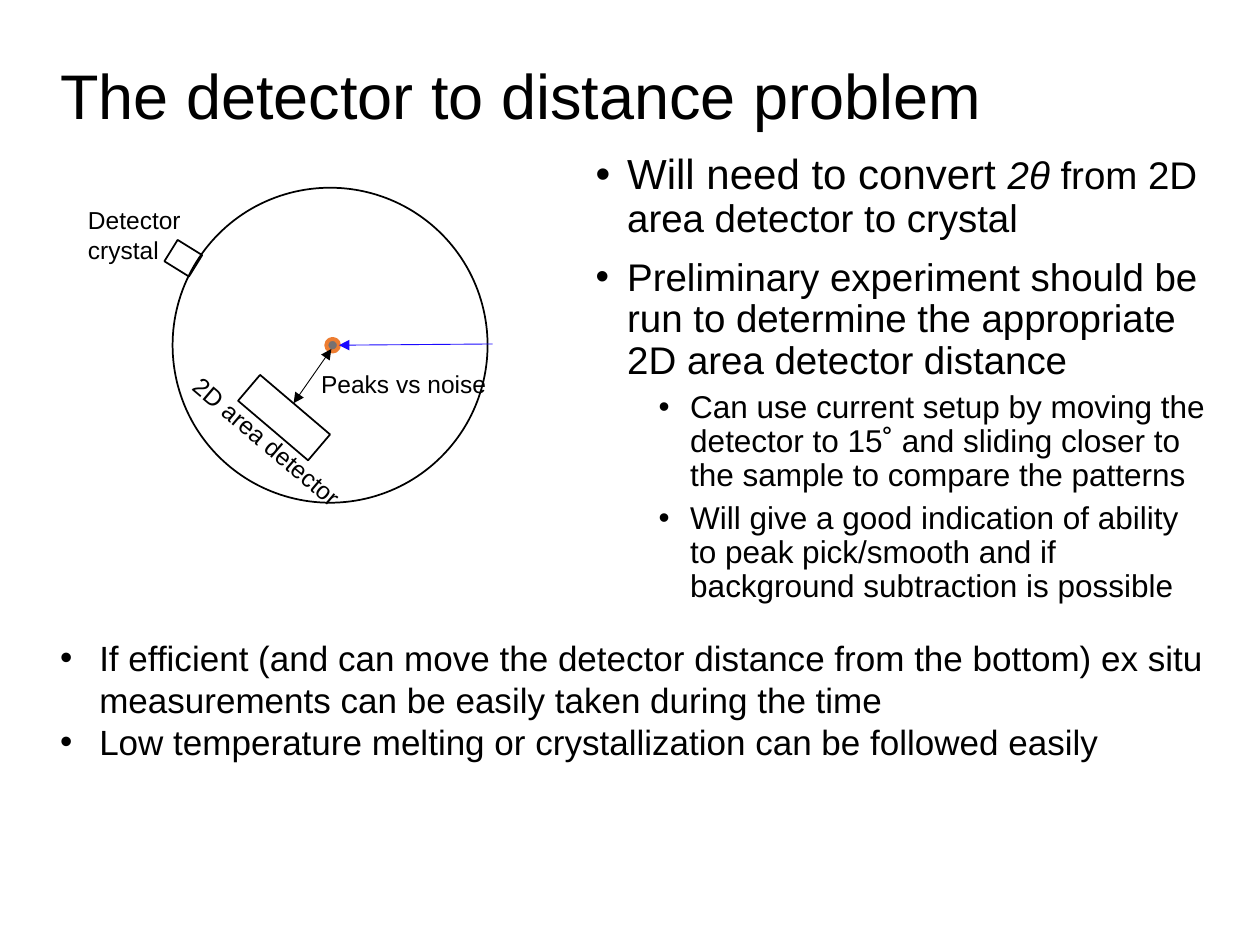
from dataclasses import dataclass
from typing import Optional

from lxml.etree import SubElement
from pptx import Presentation
from pptx.dml.color import RGBColor
from pptx.enum.shapes import MSO_CONNECTOR, MSO_SHAPE
from pptx.enum.text import MSO_ANCHOR, MSO_AUTO_SIZE, PP_ALIGN
from pptx.oxml.ns import qn
from pptx.util import Inches, Pt


@dataclass(frozen=True)
class Theme:
    font: str = "Arial"
    ink: RGBColor = RGBColor(0x00, 0x00, 0x00)
    beam: RGBColor = RGBColor(0x1B, 0x09, 0xFF)
    sample: RGBColor = RGBColor(0x76, 0x71, 0x71)
    sample_ring: RGBColor = RGBColor(0xED, 0x7D, 0x31)
    title: int = 36
    lead: int = 24
    body: int = 22
    note: int = 20
    sub: int = 18
    label: int = 14
    outline: float = 1
    ring: float = 2.25
    ray: float = 0.5


@dataclass(frozen=True)
class Box:
    left: float
    top: float
    width: float
    height: float
    rotation: float = 0

    def lengths(self):
        return [Inches(v) for v in (self.left, self.top, self.width, self.height)]


@dataclass(frozen=True)
class Run:
    text: str
    size: int
    italic: bool = False


@dataclass(frozen=True)
class Para:
    runs: tuple[Run, ...]
    margin: float = 0
    hanging: float = 0
    spacing: Optional[float] = None
    before: float = 0
    level: int = 0


T = Theme()


def point(text: str, size: int) -> Para:
    return Para((Run(text, size),), 0.25, 0.25, 0.9, 10)


def subpoint(text: str) -> Para:
    return Para((Run(text, T.sub),), 0.75, 0.25, 0.9, 5, 1)


def note(text: str) -> Para:
    return Para((Run(text, T.note),), 0.31, 0.31)


def label(text: str) -> Para:
    return Para((Run(text, T.label),))


def set_bullet(p, item: Para) -> None:
    pPr = p._p.get_or_add_pPr()
    pPr.set("marL", str(Inches(item.margin)))
    pPr.set("indent", str(-Inches(item.hanging)))
    SubElement(pPr, qn("a:buFont")).set("typeface", T.font)
    SubElement(pPr, qn("a:buChar")).set("char", "•")


def add_text(s, box: Box, paras: list[Para], wrap: bool = True,
             grow: bool = False, anchor=MSO_ANCHOR.TOP):
    sp = s.shapes.add_textbox(*box.lengths())
    sp.rotation = box.rotation
    tf = sp.text_frame
    tf.word_wrap = wrap
    tf.auto_size = MSO_AUTO_SIZE.SHAPE_TO_FIT_TEXT if grow else MSO_AUTO_SIZE.NONE
    tf.vertical_anchor = anchor
    for i, item in enumerate(paras):
        p = tf.add_paragraph() if i else tf.paragraphs[0]
        p.alignment = PP_ALIGN.LEFT
        p.level = item.level
        if item.spacing:
            p.line_spacing = item.spacing
        p.space_before = Pt(item.before)
        if item.hanging:
            set_bullet(p, item)
        for run in item.runs:
            r = p.add_run()
            r.text = run.text
            r.font.name = T.font
            r.font.size = Pt(run.size)
            r.font.italic = run.italic
            r.font.color.rgb = T.ink
    return sp


def add_outline(s, kind, box: Box, line=T.ink, weight: float = T.outline, fill=None):
    sp = s.shapes.add_shape(kind, *box.lengths())
    sp.rotation = box.rotation
    sp.shadow.inherit = False
    if fill is None:
        sp.fill.background()
    else:
        sp.fill.solid()
        sp.fill.fore_color.rgb = fill
    sp.line.color.rgb = line
    sp.line.width = Pt(weight)
    return sp


def add_arrow(s, start: tuple[float, float], end: tuple[float, float],
              color: RGBColor, ends: tuple[str, ...]):
    """Draw a thin line; ends names the arrowheads, headEnd at start, tailEnd at end."""
    cx = s.shapes.add_connector(MSO_CONNECTOR.STRAIGHT,
                                *[Inches(v) for v in (*start, *end)])
    cx.line.color.rgb = color
    cx.line.width = Pt(T.ray)
    ln = cx.line._get_or_add_ln()
    for name in ends:
        SubElement(ln, qn(f"a:{name}")).set("type", "triangle")
    SubElement(cx._element.spPr, qn("a:effectLst"))
    return cx


def draw_setup(s) -> None:
    add_outline(s, MSO_SHAPE.OVAL, Box(1.37, 1.49, 2.5, 2.5))
    detector = add_outline(s, MSO_SHAPE.RECTANGLE, Box(1.89, 3.18, 0.73, 0.27, 40.4))
    add_text(s, Box(1.29, 3.34, 1.66, 0.34, 40.3), [label("2D area detector")],
             wrap=False, grow=True)
    add_outline(s, MSO_SHAPE.OVAL, Box(2.59, 2.69, 0.1, 0.1),
                T.sample_ring, T.ring, T.sample)
    add_arrow(s, (3.91, 2.73), (2.69, 2.74), T.beam, ("tailEnd",))
    add_outline(s, MSO_SHAPE.RECTANGLE, Box(1.34, 1.95, 0.23, 0.2, 31.8))
    add_text(s, Box(0.6, 1.58, 1.07, 0.57), [label("Detector crystal")], grow=True)
    start = (2.33, 3.2)
    distance = add_arrow(s, start, (2.63, 2.77), T.ink, ("headEnd", "tailEnd"))
    distance.begin_connect(detector, 0)
    # begin_connect ignores rotation, so put the end on the tilted side
    distance.begin_x, distance.begin_y = (Inches(v) for v in start)
    add_text(s, Box(2.45, 2.88, 1.52, 0.34), [label("Peaks vs noise")],
             wrap=False, grow=True)


def main() -> None:
    prs = Presentation()
    prs.slide_width, prs.slide_height = Inches(10), Inches(7.5)
    s = prs.slides.add_slide(prs.slide_layouts[6])

    lead = (Run("Will need to convert ", T.lead), Run("2θ ", T.body, True),
            Run("from 2D area detector to crystal", T.body))
    add_text(s, Box(4.63, 1.17, 5.07, 5.8), [
        Para(lead, 0.25, 0.25, 0.9, 10),
        point("Preliminary experiment should be run to determine the appropriate "
              "2D area detector distance", T.body),
        subpoint("Can use current setup by moving the detector to 15˚ and sliding "
                 "closer to the sample to compare the patterns"),
        subpoint("Will give a good indication of ability to peak pick/smooth and if "
                 "background subtraction is possible"),
    ])
    add_text(s, Box(0.38, 0.33, 8.62, 0.92),
             [Para((Run("The detector to distance problem", T.title),), spacing=0.9)],
             anchor=MSO_ANCHOR.MIDDLE)
    draw_setup(s)
    add_text(s, Box(0.38, 5, 9.33, 1.11), [
        note("If efficient (and can move the detector distance from the bottom) "
             "ex situ measurements can be easily taken during the time"),
        note("Low temperature melting or crystallization can be followed easily"),
    ], grow=True)
    prs.save("out.pptx")


if __name__ == "__main__":
    main()
